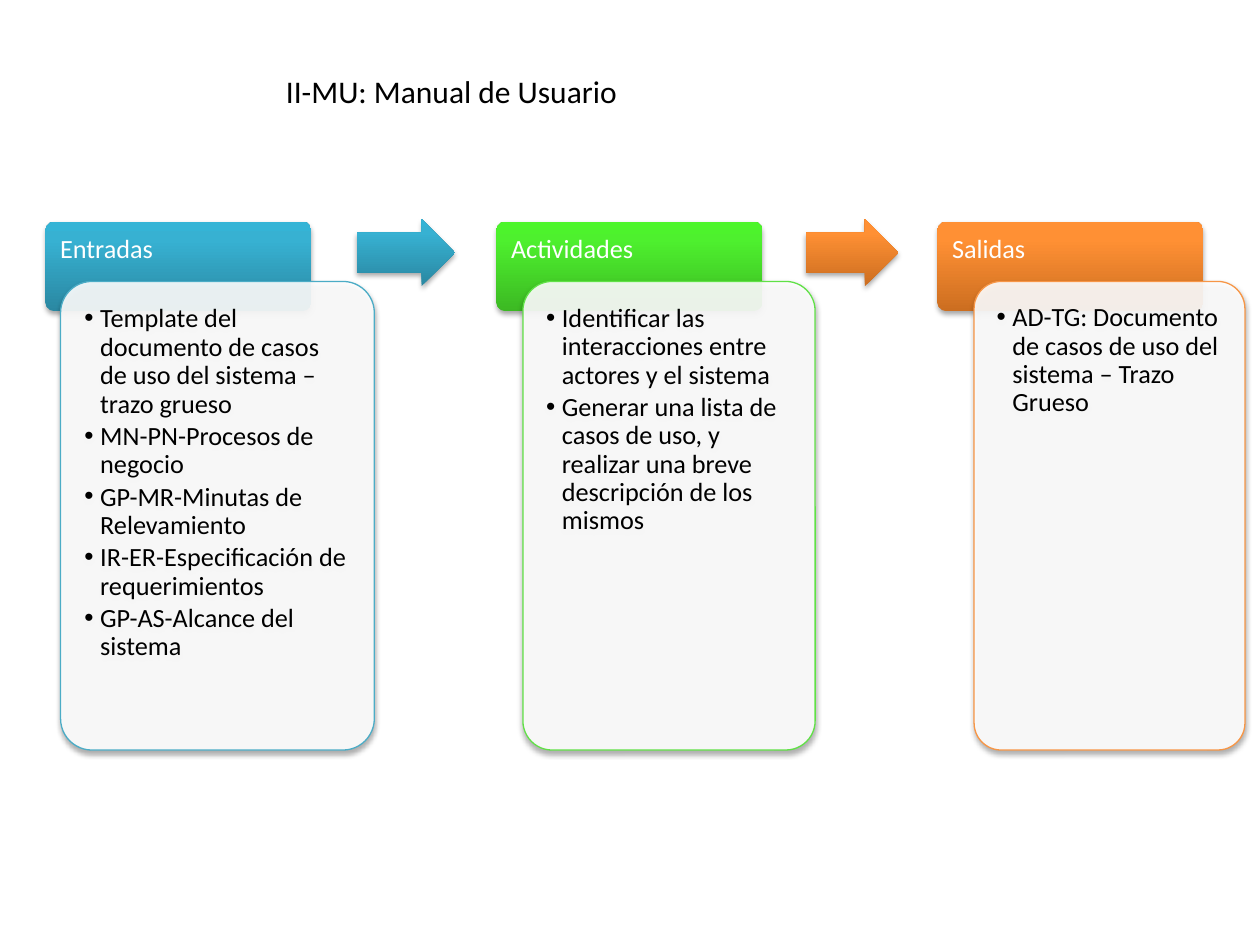
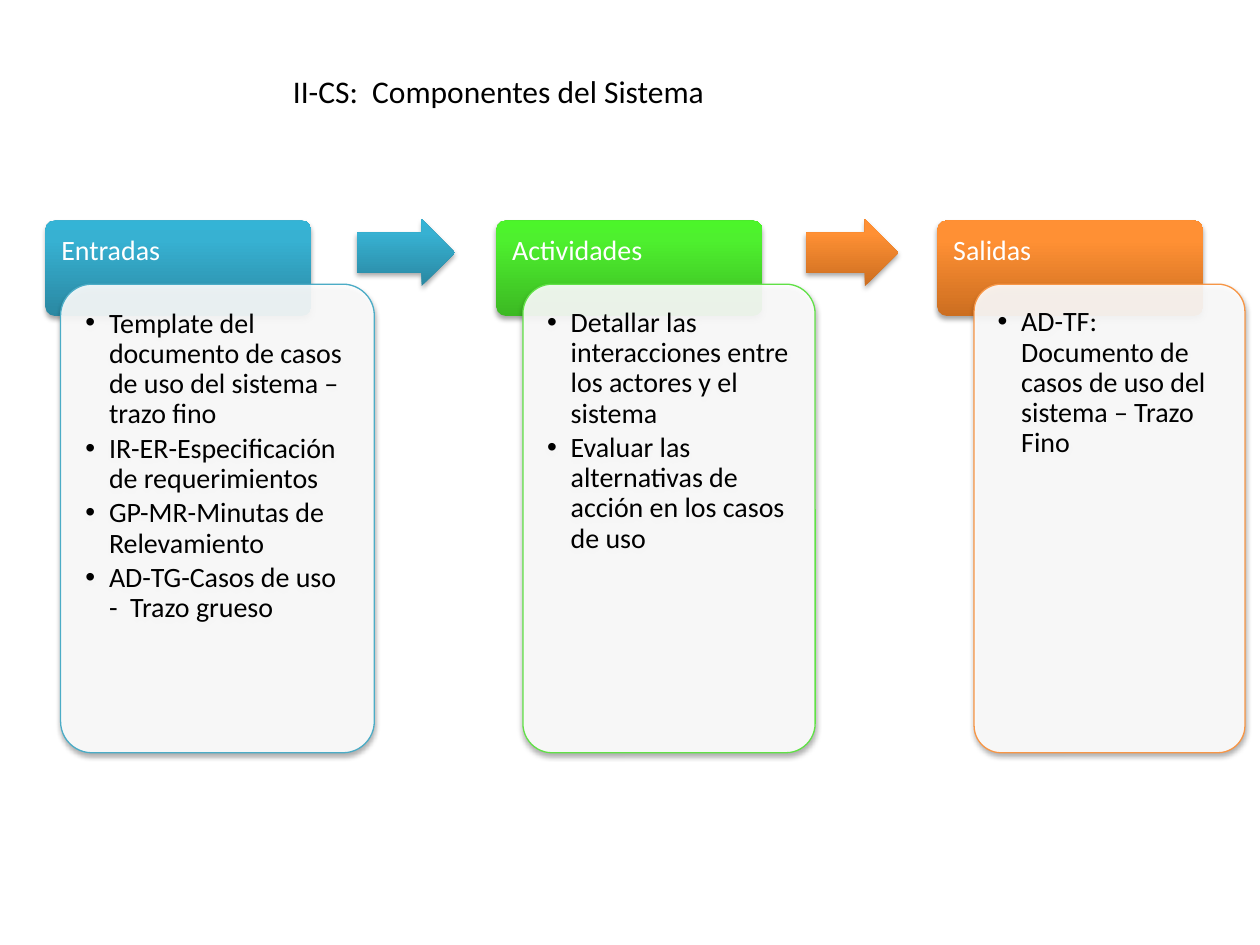
from dataclasses import dataclass

from lxml import etree
from pptx import Presentation
from pptx.dml.color import RGBColor
from pptx.enum import shapes, text
from pptx.oxml import ns
from pptx.util import Pt

SLIDES = [
    {
        "title": "II-MU: Manual de Usuario", "title_indent": 0,
        "size": 15, "header_top": 126.7, "bullet_indent": 9,
        "lists": [
            ["Template del documento de casos de uso del sistema – trazo grueso",
             "MN-PN-Procesos de negocio",
             "GP-MR-Minutas de Relevamiento",
             "IR-ER-Especificación de requerimientos",
             "GP-AS-Alcance del sistema"],
            ["Identificar las interacciones entre actores y el sistema",
             "Generar una lista de casos de uso, y realizar una breve "
             "descripción de los mismos"],
            ["AD-TG: Documento de casos de uso del sistema – Trazo Grueso"],
        ],
    },
    {
        "title": "II-CS:  Componentes del Sistema", "title_indent": 4,
        "size": 16, "header_top": 126, "bullet_indent": 13.5,
        "lists": [
            ["Template del documento de casos de uso del sistema – trazo fino",
             "IR-ER-Especificación de requerimientos",
             "GP-MR-Minutas de Relevamiento",
             "AD-TG-Casos de uso -  Trazo grueso"],
            ["Detallar las interacciones entre los actores y el sistema",
             "Evaluar las alternativas de acción en los casos de uso"],
            ["AD-TF: Documento de casos de uso del sistema – Trazo Fino"],
        ],
    },
]


@dataclass(frozen=True)
class Theme:
    font: str = "Calibri"
    title_size: float = 18
    black: str = "000000"
    white: str = "FFFFFF"
    blue: tuple = ("2A88A2", "37B1D2", "34B4D6")
    green: tuple = ("3CB923", "4EF02E", "4CF52A")
    orange: tuple = ("CC6E20", "FF9034", "FF9136")
    blue_line: str = "4BACC6"
    green_line: str = "60E146"
    orange_line: str = "F79646"


THEME = Theme()

# Each stage: name, gradient, card outline, header left, card left, card width
STAGES = [
    ("Entradas", THEME.blue, THEME.blue_line, 26, 34.6, 179.3),
    ("Actividades", THEME.green, THEME.green_line, 283.7, 298.8, 167),
    ("Salidas", THEME.orange, THEME.orange_line, 535.7, 556.6, 154.8),
]
# Each arrow: gradient, left, width
ARROWS = [(THEME.blue, 203.8, 56.2), (THEME.orange, 460.8, 52.6)]
ARROW_TOP, ARROW_HEIGHT = 125.3, 38.2
HEADER_WIDTH, CARD_HEIGHT = 152, 267.8


def add_element(parent, tag, **attributes):
    return etree.SubElement(parent, ns.qn(tag), attributes)


def add_shadowed_shape(slide, preset, box, adjustments):
    shape = slide.shapes.add_shape(preset, *(Pt(value) for value in box))
    for index, value in enumerate(adjustments):
        shape.adjustments[index] = value
    shape.line.fill.background()
    shape.shadow.inherit = False
    effects = shape.element.spPr.find(ns.qn("a:effectLst"))
    shadow = add_element(effects, "a:outerShdw", blurRad=str(Pt(3.1)),
                         dist=str(Pt(1.8)), dir="5400000", rotWithShape="0")
    color = add_element(shadow, "a:srgbClr", val=THEME.black)
    add_element(color, "a:alpha", val="35000")
    return shape


def fill_gradient(shape, colors):
    """Run the three colours from bottom to top."""
    shape.fill.gradient()
    shape.fill.gradient_angle = 90
    stops = shape.element.spPr.find(".//" + ns.qn("a:gsLst"))
    stops.clear()
    for position, color in zip((0, 80000, 100000), colors):
        stop = add_element(stops, "a:gs", pos=str(position))
        add_element(stop, "a:srgbClr", val=color)


def prepare_frame(shape, left, top, right):
    frame = shape.text_frame
    frame.word_wrap = True
    frame.auto_size = text.MSO_AUTO_SIZE.NONE
    frame.vertical_anchor = text.MSO_ANCHOR.TOP
    frame.margin_left, frame.margin_top = Pt(left), Pt(top)
    frame.margin_right = Pt(right)
    frame.margin_bottom = Pt(3.6)
    return frame


def write(paragraph, words, size, color):
    paragraph.alignment = text.PP_ALIGN.LEFT
    run = paragraph.add_run()
    run.text = words
    run.font.name = THEME.font
    run.font.size = Pt(size)
    run.font.color.rgb = RGBColor.from_string(color)


def add_title(slide, words, indent):
    title = slide.shapes.title
    title.left, title.top, title.width, title.height = (
        Pt(value) for value in (156.2, 37.4, 306, 72.7))
    frame = prepare_frame(title, 7.2 + indent, 3.6, 7.2)
    write(frame.paragraphs[0], words, THEME.title_size, THEME.black)


def add_header(slide, name, colors, box, size):
    header = add_shadowed_shape(
        slide, shapes.MSO_SHAPE.ROUNDED_RECTANGLE, box, [0.1])
    fill_gradient(header, colors)
    inset = 0.56 * size - 1.5
    paragraph = prepare_frame(header, inset, inset, inset).paragraphs[0]
    paragraph.line_spacing = 0.9
    write(paragraph, name, size, THEME.white)


def add_card(slide, items, outline, box, size, bullet_indent):
    card = add_shadowed_shape(
        slide, shapes.MSO_SHAPE.ROUNDED_RECTANGLE, box, [0.1])
    card.fill.solid()
    card.fill.fore_color.rgb = RGBColor.from_string(THEME.white)
    fill_color = card.element.spPr.find(
        ns.qn("a:solidFill") + "/" + ns.qn("a:srgbClr"))
    add_element(fill_color, "a:alpha", val="90000")
    card.line.color.rgb = RGBColor.from_string(outline)
    card.line.width = Pt(0.75)
    inset = 0.56 * size
    frame = prepare_frame(card, inset, inset, inset)
    for index, item in enumerate(items):
        paragraph = frame.add_paragraph() if index else frame.paragraphs[0]
        paragraph.line_spacing = 0.9
        paragraph.space_after = Pt(0.15 * size)
        properties = paragraph._p.get_or_add_pPr()
        properties.set("marL", str(Pt(bullet_indent)))
        properties.set("indent", str(-Pt(bullet_indent)))
        add_element(properties, "a:buFont", typeface="Arial")
        add_element(properties, "a:buChar", char="•")
        write(paragraph, item, size, THEME.black)


def add_arrow(slide, colors, left, width):
    arrow = add_shadowed_shape(
        slide, shapes.MSO_SHAPE.RIGHT_ARROW,
        (left, ARROW_TOP, width, ARROW_HEIGHT), [0.6, 0.5])
    fill_gradient(arrow, colors)


def build_slide(presentation, content):
    slide = presentation.slides.add_slide(presentation.slide_layouts[5])
    add_title(slide, content["title"], content["title_indent"])
    size, top = content["size"], content["header_top"]
    header_height = 3.41 * size
    card_top = top + header_height * 2 / 3
    for stage, items in zip(STAGES, content["lists"]):
        name, colors, outline, header_left, card_left, card_width = stage
        add_header(slide, name, colors,
                   (header_left, top, HEADER_WIDTH, header_height), size)
        add_card(slide, items, outline,
                 (card_left, card_top, card_width, CARD_HEIGHT),
                 size, content["bullet_indent"])
    for arrow in ARROWS:
        add_arrow(slide, *arrow)


def main():
    presentation = Presentation()
    presentation.slide_width, presentation.slide_height = Pt(720), Pt(540)
    for content in SLIDES:
        build_slide(presentation, content)
    presentation.save("out.pptx")


if __name__ == "__main__":
    main()
